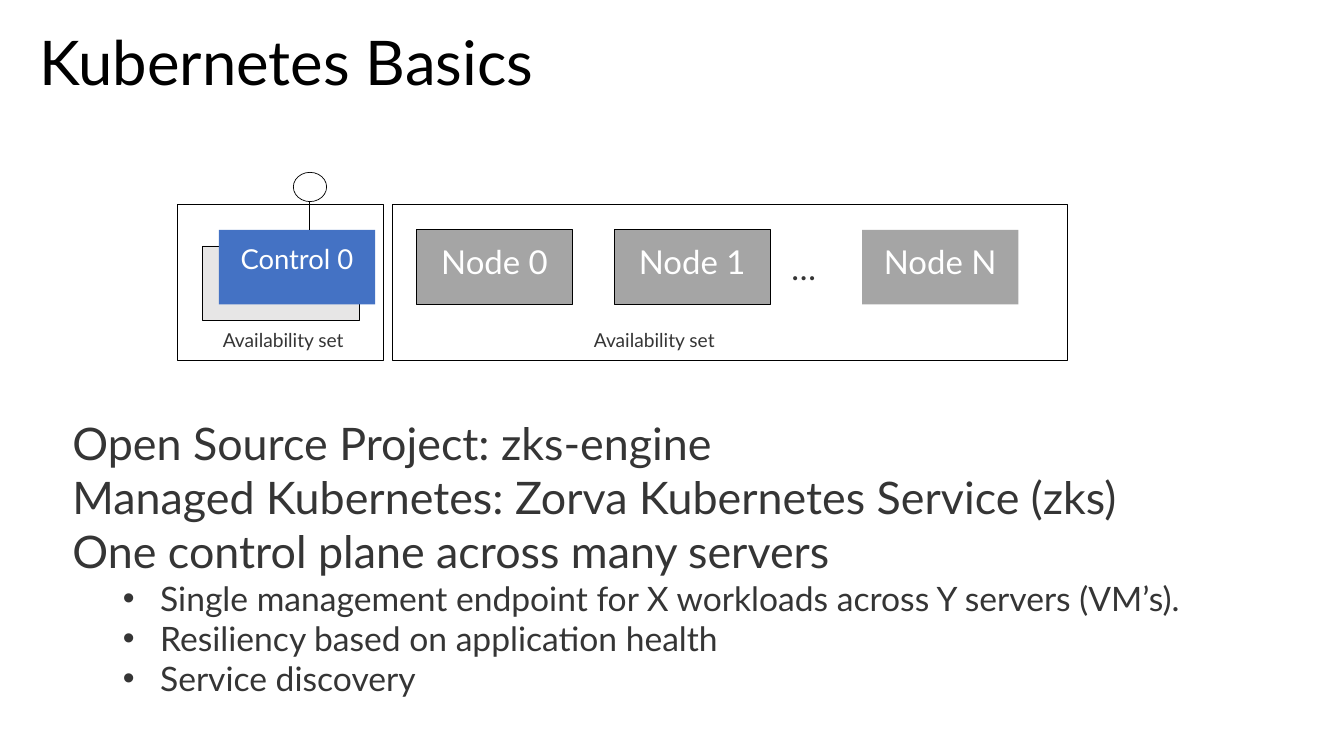
from dataclasses import dataclass

from lxml.etree import SubElement
from pptx import Presentation
from pptx.dml.color import RGBColor
from pptx.enum.shapes import MSO_CONNECTOR, MSO_SHAPE as Preset
from pptx.enum.text import MSO_ANCHOR as Anchor, PP_ALIGN as Align
from pptx.oxml.ns import qn
from pptx.util import Inches, Pt


@dataclass(frozen=True)
class Theme:
    font: str = "Lato"
    black: str = "000000"
    white: str = "FFFFFF"
    ink: str = "353535"
    blue: str = "4472C4"
    gray: str = "A5A5A5"
    pale: str = "E7E6E6"
    title: float = 44
    lead: float = 32
    detail: float = 24
    node: float = 23.5
    control: float = 19.6
    caption: float = 13.7
    outline: float = 0.5


@dataclass(frozen=True)
class Box:
    left: float
    top: float
    width: float
    height: float

    def lengths(self):
        return [Inches(v) for v in (self.left, self.top, self.width, self.height)]


@dataclass(frozen=True)
class Server:
    label: str
    left: float
    fill: str
    size: float
    outlined: bool


@dataclass(frozen=True)
class AvailabilitySet:
    left: float
    width: float
    caption_left: float
    caption_width: float = 1.88


THEME = Theme()
SERVER_TOP, SERVER_WIDTH, SERVER_HEIGHT = 2.28, 1.55, 0.74
SET_TOP, SET_HEIGHT = 2.03, 1.55
CARD_INSETS = (0.2, 0.16)
PLAIN_INSETS = (0.1, 0.05)

prs = Presentation()
prs.slide_width, prs.slide_height = Inches(13.33), Inches(7.5)
slide = prs.slides.add_slide(prs.slide_layouts[6])


def color(value: str) -> RGBColor:
    return RGBColor.from_string(value)


def write(frame, text: str, *, size: float, ink: str = THEME.ink, align=Align.LEFT,
          anchor=Anchor.TOP, insets=CARD_INSETS, spacing: float = 0.9,
          bullet: bool = False, append: bool = False) -> None:
    frame.word_wrap = True
    frame.vertical_anchor = anchor
    frame.margin_left = frame.margin_right = Inches(insets[0])
    frame.margin_top = frame.margin_bottom = Inches(insets[1])
    paragraph = frame.add_paragraph() if append else frame.paragraphs[0]
    paragraph.alignment, paragraph.line_spacing = align, spacing
    run = paragraph.add_run()
    run.text = text
    run.font.name, run.font.size = THEME.font, Pt(size)
    run.font.color.rgb = color(ink)
    if bullet:
        paragraph.level = 1
        props = paragraph._p.get_or_add_pPr()
        props.set("marL", str(Inches(0.87)))
        props.set("indent", str(Inches(-0.37)))
        SubElement(props, qn("a:buFont")).set("typeface", "Arial")
        SubElement(props, qn("a:buChar")).set("char", "•")


def add_text(box: Box, text: str, **style):
    frame = slide.shapes.add_textbox(*box.lengths()).text_frame
    write(frame, text, **style)
    return frame


def add_block(box: Box, preset=Preset.RECTANGLE, fill: str = "", outlined: bool = True):
    block = slide.shapes.add_shape(preset, *box.lengths())
    block.shadow.inherit = False
    if fill:
        block.fill.solid()
        block.fill.fore_color.rgb = color(fill)
    else:
        block.fill.background()
    if outlined:
        block.line.color.rgb = color(THEME.black)
        block.line.width = Pt(THEME.outline)
    else:
        block.line.fill.background()
    return block


def add_server(server: Server) -> None:
    box = Box(server.left, SERVER_TOP, SERVER_WIDTH, SERVER_HEIGHT)
    block = add_block(box, fill=server.fill, outlined=server.outlined)
    write(block.text_frame, server.label, size=server.size, ink=THEME.white,
          align=Align.CENTER)


def add_availability_set(group: AvailabilitySet) -> None:
    add_block(Box(group.left, SET_TOP, group.width, SET_HEIGHT))
    add_text(Box(group.caption_left, 3.18, group.caption_width, 0.52),
             "Availability set", size=THEME.caption)


# Title
add_text(Box(0.29, 0.16, 12.75, 0.98), "Kubernetes Basics", size=THEME.title,
         ink=THEME.black, anchor=Anchor.MIDDLE, insets=PLAIN_INSETS)

# Standby control card and the servers
add_block(Box(2.01, 2.44, SERVER_WIDTH, SERVER_HEIGHT), fill=THEME.pale)
for server in (
    Server("Control 0", 2.17, THEME.blue, THEME.control, False),
    Server("Node 0", 4.13, THEME.gray, THEME.node, True),
    Server("Node 1", 6.09, THEME.gray, THEME.node, True),
    Server("Node N", 8.55, THEME.gray, THEME.node, False),
):
    add_server(server)
add_text(Box(7.65, 2.34, 0.82, 0.67), "…", size=THEME.node)

# Management endpoint
add_block(Box(2.91, 1.71, 0.33, 0.29), Preset.OVAL)
endpoint_stem = slide.shapes.add_connector(
    MSO_CONNECTOR.STRAIGHT, Inches(3.07), Inches(2), Inches(3.07), Inches(SERVER_TOP))
endpoint_stem.line.color.rgb = color(THEME.black)
endpoint_stem.line.width = Pt(THEME.outline)
SubElement(endpoint_stem._element.spPr, qn("a:effectLst"))

# Availability sets
for group in (AvailabilitySet(3.89, 6.7, 5.69), AvailabilitySet(1.76, 2.04, 2.01)):
    add_availability_set(group)

# Key points
leads = ("Open Source Project: zks-engine",
         "Managed Kubernetes: Zorva Kubernetes Service (zks)",
         "One control plane across many servers")
details = ("Single management endpoint for X workloads across Y servers (VM’s).",
           "Resiliency based on application health",
           "Service discovery")
body_style = dict(insets=PLAIN_INSETS, spacing=1.0)
points = add_text(Box(0.62, 4.08, 11.93, 2.93), leads[0], size=THEME.lead, **body_style)
for lead in leads[1:]:
    write(points, lead, size=THEME.lead, append=True, **body_style)
for detail in details:
    write(points, detail, size=THEME.detail, bullet=True, append=True, **body_style)

prs.save("out.pptx")
